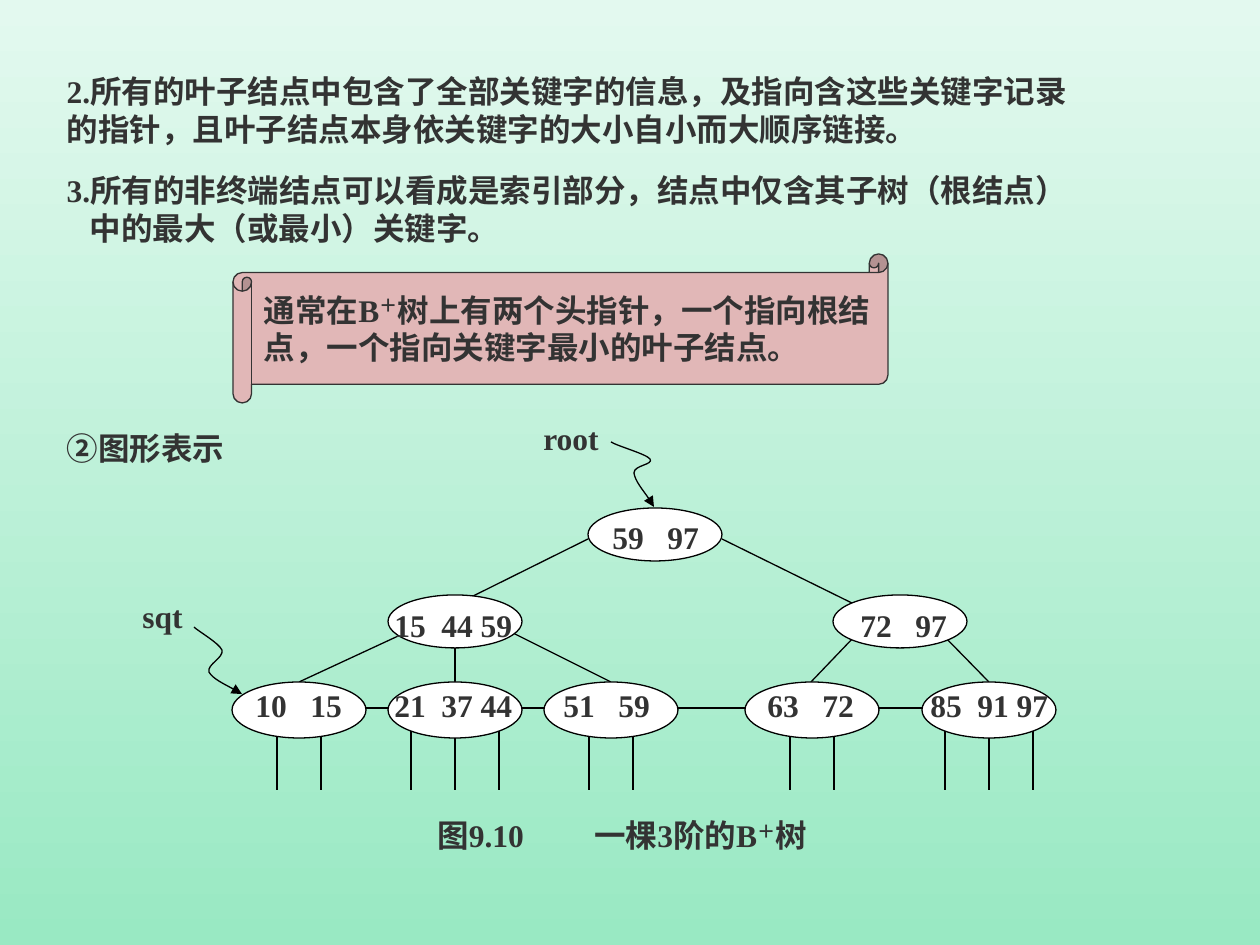
from lxml import etree
from pptx import Presentation
from pptx.dml.color import RGBColor
from pptx.enum.shapes import MSO_CONNECTOR, MSO_SHAPE
from pptx.enum.text import MSO_ANCHOR, MSO_AUTO_SIZE, PP_ALIGN
from pptx.oxml.ns import qn
from pptx.util import Pt

PX = 914400 / 126  # EMU in one px
SCROLL, ELLIPSE = MSO_SHAPE.HORIZONTAL_SCROLL, MSO_SHAPE.OVAL
STRAIGHT = MSO_CONNECTOR.STRAIGHT

INK = RGBColor(0x33, 0x33, 0x33)
BLACK = RGBColor(0, 0, 0)
WHITE = RGBColor(0xFF, 0xFF, 0xFF)
PINK = RGBColor(0xE1, 0xB7, 0xB7)
GRADIENT = (RGBColor(0xE3, 0xF9, 0xEF), RGBColor(0x99, 0xE9, 0xC3))

FONT = {"name": "Times New Roman", "size": Pt(18), "bold": True}
FRAME = {"word_wrap": True, "auto_size": MSO_AUTO_SIZE.NONE,
         "vertical_anchor": MSO_ANCHOR.MIDDLE}

NODE_WIDTH, NODE_HEIGHT, LEAF_HEIGHT = 134, 53, 56
LEAF_TOP, LEAF_LABEL_TOP, LINK_Y = 682, 680, 708
POINTER_GAP, POINTER_TOP, POINTER_BOTTOM = 44, 725, 790
TWO_KEY_TAB, THREE_KEY_TAB, CAPTION_TAB = 55, 47, 157

# Left, top, label left, label top, keys
INNER_NODES = [
    (588, 508, 600, 512, "59 97"),
    (388, 595, 382, 600, "15 44 59"),
    (833, 595, 848, 600, "72 97"),
]
# Left, label left, keys
LEAVES = [
    (232, 243, "10 15"),
    (388, 382, "21 37 44"),
    (544, 551, "51 59"),
    (745, 755, "63 72"),
    (922, 918, "85 91 97"),
]
TREE_EDGES = [
    (588, 539, 455, 605), (722, 539, 856, 605),
    (409, 631, 299, 682), (455, 639, 455, 682), (507, 630, 611, 682),
    (856, 635, 811, 682), (941, 633, 989, 682),
]
# Start point, then two control points and an end point for each bend
ROOT_ARROW = [(611, 442), (617, 446), (646, 454), (650, 459), (654, 465),
              (634, 465), (634, 473), (635, 481), (650, 499), (654, 507)]
SQT_ARROW = [(194, 627), (198, 631), (219, 643), (222, 650), (224, 658),
             (207, 664), (209, 672), (213, 679), (236, 690), (242, 694)]


def px(*lengths):
    return [round(length * PX) for length in lengths]


def set_attributes(target, values):
    for name, value in values.items():
        setattr(target, name, value)


def write(paragraph, text):
    """Fill a paragraph, raising each full-width plus sign."""
    paragraph.alignment = PP_ALIGN.LEFT
    for part in text.replace("＋", "|＋|").split("|"):
        run = paragraph.add_run()
        run.text = part
        set_attributes(run.font, FONT)
        run.font.color.rgb = INK
        if part == "＋":
            run._r.get_or_add_rPr().set("baseline", "30000")


def add_tab(paragraph, position):
    tabs = etree.SubElement(paragraph._p.get_or_add_pPr(), qn("a:tabLst"))
    etree.SubElement(tabs, qn("a:tab"), pos=str(px(position)[0]), algn="l")


def place(shape, left, top, width, height):
    names = ("left", "top", "width", "height")
    set_attributes(shape, dict(zip(names, px(left, top, width, height))))
    set_attributes(shape.text_frame, FRAME)


def add_label(slide, text, left, top, width, tab=None):
    box = slide.shapes.add_textbox(*px(left, top, width, 50))
    set_attributes(box.text_frame, FRAME)
    box.text_frame.margin_right = 0
    paragraph = box.text_frame.paragraphs[0]
    if tab:
        add_tab(paragraph, tab)
    write(paragraph, text)


def add_keys(slide, keys, left, top):
    """Label a node; the second key stands at a tab stop."""
    tab = THREE_KEY_TAB if keys.count(" ") == 2 else TWO_KEY_TAB
    add_label(slide, keys.replace(" ", "\t", 1), left, top, 144, tab)


def add_preset(slide, kind, box, fill, line):
    shape = slide.shapes.add_shape(kind, *px(*box))
    shape.shadow.inherit = False
    shape.fill.solid()
    shape.fill.fore_color.rgb = fill
    shape.line.color.rgb = line
    shape.line.width = Pt(0.75)
    return shape


def add_line(slide, *ends):
    line = slide.shapes.add_connector(STRAIGHT, *px(*ends))
    line.line.color.rgb = BLACK
    line.line.width = Pt(0.75)
    etree.SubElement(line._element.spPr, qn("a:effectLst"))


def add_curved_arrow(slide, points):
    builder = slide.shapes.build_freeform(*points[0], scale=PX)
    builder.add_line_segments(points[1:], close=False)
    shape = builder.convert_to_shape()
    shape.shadow.inherit = False
    shape.fill.background()
    shape.line.color.rgb = BLACK
    shape.line.width = Pt(0.75)
    etree.SubElement(shape.line._get_or_add_ln(), qn("a:tailEnd"), type="triangle")
    # Turn every three line segments into one Bezier segment
    outline = next(shape._element.iter(qn("a:path")))
    segments = outline.findall(qn("a:lnTo"))
    for start in range(0, len(segments), 3):
        bend = etree.SubElement(outline, qn("a:cubicBezTo"))
        for segment in segments[start:start + 3]:
            bend.append(segment[0])
            outline.remove(segment)


def add_background(slide):
    fill = slide.background.fill
    fill.gradient()
    fill.gradient_angle = 270
    for stop, color in zip(fill.gradient_stops, GRADIENT):
        stop.color.rgb = color


def add_body(slide, items):
    body = slide.placeholders[1]
    place(body, 54, 66, 1040, 187)
    for index, (text, hanging) in enumerate(items):
        frame = body.text_frame
        paragraph = frame.add_paragraph() if index else frame.paragraphs[0]
        paragraph.space_before = Pt(13 if index else 0)
        margin = px(hanging)[0]
        properties = paragraph._p.get_or_add_pPr()
        properties.set("marL", str(margin))
        properties.set("indent", str(-margin))
        etree.SubElement(properties, qn("a:buNone"))
        write(paragraph, text)


def add_tree(slide):
    # Edges and leaf pointers lie behind the nodes
    for edge in TREE_EDGES:
        add_line(slide, *edge)
    for left, _, keys in LEAVES:
        count = len(keys.split())
        for index in range(count):
            x = left + NODE_WIDTH // 2 + (index - (count - 1) / 2) * POINTER_GAP
            add_line(slide, x, POINTER_TOP, x, POINTER_BOTTOM)
    for leaf, following in zip(LEAVES, LEAVES[1:]):
        add_line(slide, leaf[0] + NODE_WIDTH, LINK_Y, following[0], LINK_Y)

    # Nodes with their keys
    for left, top, label_left, label_top, keys in INNER_NODES:
        add_preset(slide, ELLIPSE, (left, top, NODE_WIDTH, NODE_HEIGHT), WHITE, BLACK)
        add_keys(slide, keys, label_left, label_top)
    for left, label_left, keys in LEAVES:
        add_preset(slide, ELLIPSE, (left, LEAF_TOP, NODE_WIDTH, LEAF_HEIGHT), WHITE, BLACK)
        add_keys(slide, keys, label_left, LEAF_LABEL_TOP)

    # Head pointers
    add_label(slide, "root", 531, 413, 88)
    add_label(slide, "sqt", 130, 591, 73)
    add_curved_arrow(slide, ROOT_ARROW)
    add_curved_arrow(slide, SQT_ARROW)


def main():
    presentation = Presentation()
    presentation.slide_width, presentation.slide_height = px(1260, 945)
    slide = presentation.slides.add_slide(presentation.slide_layouts[1])
    add_background(slide)

    # Properties and section title
    add_body(slide, [
        ("2.所有的叶子结点中包含了全部关键字的信息，及指向含这些关键字记录"
         "的指针，且叶子结点本身依关键字的大小自小而大顺序链接。", 0),
        ("3.所有的非终端结点可以看成是索引部分，结点中仅含其子树（根结点）"
         "中的最大（或最小）关键字。", 23),
    ])
    title = slide.shapes.title
    place(title, 54, 423, 200, 50)
    write(title.text_frame.paragraphs[0], "②图形表示")

    # Note on the scroll
    scroll = add_preset(slide, SCROLL, (233, 254, 655, 149), PINK, INK)
    set_attributes(scroll.text_frame, FRAME)
    scroll.text_frame.margin_right = px(6)[0]
    write(scroll.text_frame.paragraphs[0],
          "通常在B＋树上有两个头指针，一个指向根结点，一个指向关键字最小的叶子结点。")

    # Tree and caption
    add_tree(slide)
    add_label(slide, "图9.10\t一棵3阶的B＋树", 425, 810, 432, CAPTION_TAB)
    presentation.save("out.pptx")


if __name__ == "__main__":
    main()
